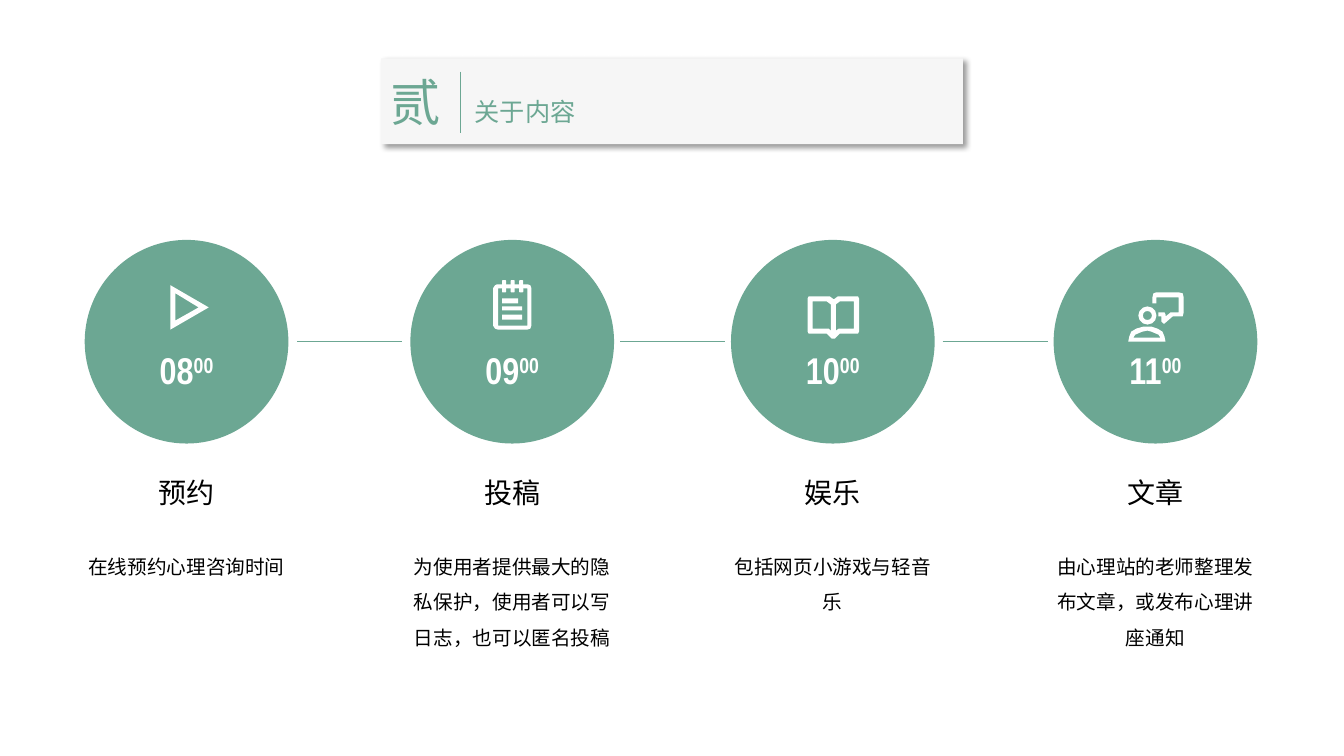
from dataclasses import dataclass

from lxml import etree
from pptx import Presentation
from pptx import util as u
from pptx.dml.color import RGBColor
from pptx.enum import shapes, text
from pptx.oxml.ns import qn


@dataclass(frozen=True)
class Theme:
    green: str = "6CA793"
    panel: str = "F6F6F6"
    white: str = "FFFFFF"
    black: str = "000000"
    number_font: str = "Arial Narrow"
    label_font: str = "Noto Sans CJK JP"
    title_font: str = "Noto Sans CJK SC"
    chapter: float = 36
    title: float = 18
    hour: float = 26.6
    label: float = 20
    body: float = 14


THEME = Theme()
KIND = shapes.MSO_SHAPE
ICON_UNIT = u.Inches(0.01)

# Grid cells are a tenth of an inch
CENTRES = (18.5, 50.8, 82.6, 114.6)
CIRCLE_ROW, CIRCLE_SIZE = 33.9, 20.2
HOUR_ROW, LABEL_ROW, BODY_ROW = 34, 46.7, 53.4
LINK_START, LINK_STEP, LINK_LENGTH = 29.5, 32, 10.4

STEPS = (
    ("08", "预约", "在线预约心理咨询时间"),
    ("09", "投稿", "为使用者提供最大的隐私保护，使用者可以写日志，也可以匿名投稿"),
    ("10", "娱乐", "包括网页小游戏与轻音乐"),
    ("11", "文章", "由心理站的老师整理发布文章，或发布心理讲座通知"),
)

# Icon outlines: hundredths of an inch from the circle's centre
PLAY = (
    [(-16, -56), (-16, -12), (22, -34)],
    [(-11, -48), (-11, -21), (12, -34)],
)
NOTEPAD = (
    [(-15, -57), (15, -57), (18, -56), (19, -53), (19, -16), (18, -13),
     (15, -12), (-14, -12), (-17, -13), (-19, -16), (-19, -53), (-17, -56)],
    [(-14, -53), (15, -53), (15, -16), (-14, -16)],
)
NOTE_LINES = ((-10, -43, 16, 5), (-10, -35, 20, 4), (-10, -27, 20, 5))
NOTE_RINGS = tuple((left, -61, 4, 12) for left in (-10, -1.5, 7))
BOOK = (
    [(23, -45), (5, -45), (1, -42), (-3, -45), (-22, -45), (-24, -45), (-25, -43),
     (-25, -10), (-24, -8), (-6, -8), (-1, -3), (2, -3), (7, -8), (25, -8),
     (26, -10), (26, -43), (25, -45)],
    [(-4, -13), (-20, -13), (-20, -40), (-6, -40), (-2, -37), (-2, -11)],
    [(21, -13), (6, -13), (3, -11), (3, -37), (7, -40), (21, -40)],
)
BUBBLE = (
    [(8, -18), (6, -20), (6, -25), (3, -25), (3, -29), (9, -29), (10, -27),
     (10, -25), (15, -29), (23, -29), (23, -44), (1, -44), (1, -38), (-3, -38),
     (-3, -44), (-2, -48), (1, -49), (23, -49), (27, -48), (28, -44), (28, -29),
     (27, -25), (23, -25), (17, -25), (9, -18)],
)
SHOULDERS = (
    [(10, 0), (-27, 0), (-26, -5), (-24, -10), (-19, -13), (-12, -15),
     (-4, -15), (2, -13), (7, -10), (9, -5)],
    [(-22, -4), (5, -4), (3, -7), (-4, -10), (-8, -11), (-13, -10), (-20, -7)],
)
HEAD = (-17, -35, 18, 18)

# Each step's outlines and preset parts
ICONS = (
    ((PLAY,), ()),
    ((NOTEPAD,), tuple((KIND.RECTANGLE, line) for line in NOTE_LINES)
     + tuple((KIND.ROUNDED_RECTANGLE, ring) for ring in NOTE_RINGS)),
    ((BOOK,), ()),
    ((BUBBLE, SHOULDERS), ((KIND.DONUT, HEAD),)),
)


def cells(count):
    return u.Inches(count / 10)


def paint(shape, colour):
    shape.fill.solid()
    shape.fill.fore_color.rgb = RGBColor.from_string(colour)
    shape.line.fill.background()
    shape.shadow.inherit = False


def add_preset(page, kind, place, colour):
    shape = page.shapes.add_shape(kind, *place)
    paint(shape, colour)
    return shape


def add_span(para, words, size, font, colour, bold=False, raised=False):
    span = para.add_run()
    span.text = words
    span.font.size = u.Pt(size)
    span.font.name = font
    span.font.bold = bold
    span.font.color.rgb = RGBColor.from_string(colour)
    properties = span._r.get_or_add_rPr()
    etree.SubElement(properties, qn("a:ea"), typeface=font)
    if raised:
        properties.set("baseline", "30000")


def add_centred_box(page, centre, row, width, height, spacing=1.0):
    box = page.shapes.add_textbox(
        cells(centre - width / 2), cells(row), cells(width), cells(height))
    box.text_frame.word_wrap = True
    para = box.text_frame.paragraphs[0]
    para.alignment = text.PP_ALIGN.CENTER
    para.line_spacing = spacing
    return para


def add_line(page, left, top, right, bottom, weight):
    line = page.shapes.add_connector(
        shapes.MSO_CONNECTOR.STRAIGHT, *map(cells, (left, top, right, bottom)))
    line.line.color.rgb = RGBColor.from_string(THEME.green)
    line.line.width = u.Pt(weight)
    etree.SubElement(line._element.spPr, qn("a:effectLst"))


def add_icon(page, centre, outlines, parts):
    x, y = cells(centre), cells(CIRCLE_ROW)
    for contours in outlines:
        builder = page.shapes.build_freeform(*contours[0][0], scale=ICON_UNIT)
        builder.add_line_segments(contours[0][1:], close=True)
        for hole in contours[1:]:
            builder.move_to(*hole[0])
            builder.add_line_segments(hole[1:], close=True)
        paint(builder.convert_to_shape(x, y), THEME.white)
    for kind, (left, top, width, height) in parts:
        place = [int(v) for v in (x + left * ICON_UNIT, y + top * ICON_UNIT,
                                  width * ICON_UNIT, height * ICON_UNIT)]
        add_preset(page, kind, place, THEME.white)


def add_step(page, centre, step, icon):
    hour, label, body = step
    corner = centre - CIRCLE_SIZE / 2, CIRCLE_ROW - CIRCLE_SIZE / 2
    place = [cells(v) for v in (*corner, CIRCLE_SIZE, CIRCLE_SIZE)]
    add_preset(page, KIND.OVAL, place, THEME.green)
    add_icon(page, centre, *icon)
    para = add_centred_box(page, centre, HOUR_ROW, CIRCLE_SIZE, 5.5)
    for words, raised in ((hour, False), ("00", True)):
        add_span(para, words, THEME.hour, THEME.number_font, THEME.white, True, raised)
    para = add_centred_box(page, centre, LABEL_ROW, 23.7, 4.4)
    add_span(para, label, THEME.label, THEME.label_font, THEME.black)
    para = add_centred_box(page, centre, BODY_ROW, 23.3, 11.6, 1.5)
    add_span(para, body, THEME.body, THEME.label_font, THEME.black)


def add_heading(page):
    place = [cells(v) for v in (37.8, 5.8, 57.7, 8.5)]
    panel = add_preset(page, KIND.RECTANGLE, place, THEME.panel)
    effects = panel._element.spPr.find(qn("a:effectLst"))
    shadow = etree.SubElement(
        effects, qn("a:outerShdw"), blurRad=str(u.Pt(4)), dist=str(u.Pt(3)),
        dir="2700000", algn="tl", rotWithShape="0")
    colour = etree.SubElement(shadow, qn("a:srgbClr"), val=THEME.black)
    etree.SubElement(colour, qn("a:alpha"), val="40000")

    # Chapter numeral and title, parted by a tab stop
    panel.text_frame.vertical_anchor = text.MSO_ANCHOR.MIDDLE
    para = panel.text_frame.paragraphs[0]
    para.alignment = text.PP_ALIGN.LEFT
    stops = etree.SubElement(para._p.get_or_add_pPr(), qn("a:tabLst"))
    etree.SubElement(stops, qn("a:tab"), pos=str(cells(8.3)), algn="l")
    add_span(para, "贰", THEME.chapter, THEME.title_font, THEME.green)
    add_span(para, "\t关于内容", THEME.title, THEME.title_font, THEME.green)
    add_line(page, 45.7, 7.1, 45.7, 13.2, 0.5)


def main():
    deck = Presentation()
    deck.slide_width, deck.slide_height = u.Inches(13.33), u.Inches(7.5)
    page = deck.slides.add_slide(deck.slide_layouts[6])
    add_heading(page)
    for centre, step, icon in zip(CENTRES, STEPS, ICONS):
        add_step(page, centre, step, icon)
    for gap in range(len(STEPS) - 1):
        start = LINK_START + gap * LINK_STEP
        add_line(page, start, CIRCLE_ROW, start + LINK_LENGTH, CIRCLE_ROW, 1)
    deck.save("out.pptx")


if __name__ == "__main__":
    main()
